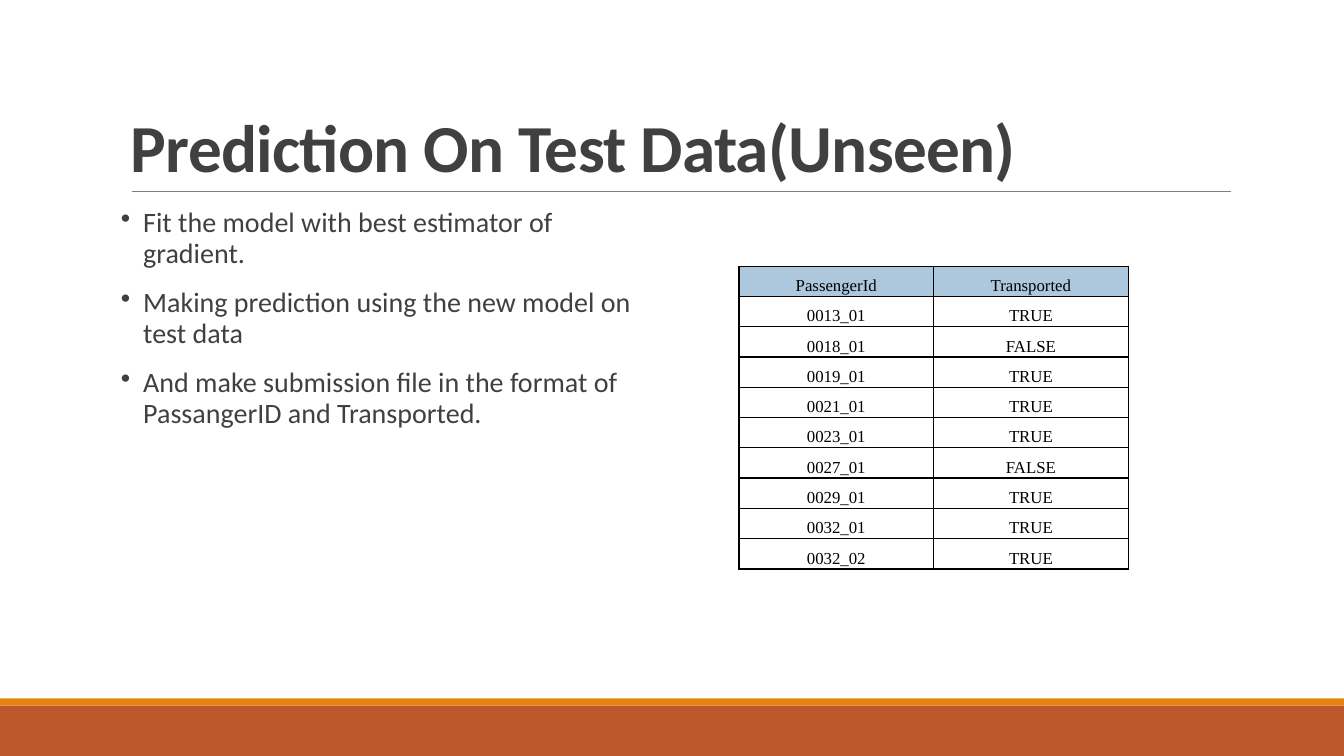
from lxml.etree import SubElement
from pptx import Presentation
from pptx.dml.color import RGBColor
from pptx.enum.shapes import MSO_CONNECTOR, MSO_SHAPE
from pptx.enum.text import MSO_ANCHOR, PP_ALIGN
from pptx.oxml.ns import qn
from pptx.util import Inches, Pt

COLORS = {
    "rust": "BD582C",
    "orange": "E48312",
    "rule": "808080",
    "text": "404040",
    "header": "ADC8DD",
    "white": "FFFFFF",
    "black": "000000",
}
STEPS = [
    "Fit the model with best estimator of gradient.",
    "Making prediction using the new model on test data",
    "And make submission file in the format of PassangerID and Transported.",
]
PREDICTIONS = [
    ("PassengerId", "Transported"),
    ("0013_01", "TRUE"),
    ("0018_01", "FALSE"),
    ("0019_01", "TRUE"),
    ("0021_01", "TRUE"),
    ("0023_01", "TRUE"),
    ("0027_01", "FALSE"),
    ("0029_01", "TRUE"),
    ("0032_01", "TRUE"),
    ("0032_02", "TRUE"),
]


def color(name):
    """Return the named colour."""
    return RGBColor.from_string(COLORS[name])


def style_font(font, face, size, tint):
    """Set face, size and colour of a font."""
    font.name = face
    font.size = Pt(size)
    font.color.rgb = color(tint)


def add_footer(slide, left, top, width, height):
    """Draw the rust band with an orange strip along its top."""
    strip = 0.07
    bands = [("rust", top + strip, height - strip), ("orange", top, strip)]
    for tint, band_top, band_height in bands:
        band = slide.shapes.add_shape(
            MSO_SHAPE.RECTANGLE, Inches(left), Inches(band_top),
            Inches(width), Inches(band_height))
        band.shadow.inherit = False
        band.fill.solid()
        band.fill.fore_color.rgb = color(tint)
        band.line.fill.background()


def add_title(slide, left, top, width, height):
    """Place the title at the bottom of its box, with a rule below."""
    bottom = Inches(top + height)
    rule = slide.shapes.add_connector(
        MSO_CONNECTOR.STRAIGHT, Inches(left + 0.11), bottom,
        Inches(left + width + 0.01), bottom)
    rule.line.color.rgb = color("rule")
    rule.line.width = Pt(0.5)
    SubElement(rule._element.spPr, qn("a:effectLst"))

    frame = slide.shapes.add_textbox(
        Inches(left), Inches(top), Inches(width), Inches(height)).text_frame
    frame.word_wrap = True
    frame.vertical_anchor = MSO_ANCHOR.BOTTOM
    title = frame.paragraphs[0]
    title.line_spacing = 0.85
    style_font(title.font, "Calibri", 48, "text")
    title.font.bold = True
    run = title.add_run()
    run.text = "Prediction On Test Data(Unseen)"
    run._r.get_or_add_rPr().set("spc", "-50")


def add_steps(slide, left, top, width, height):
    """Place the bulleted steps."""
    frame = slide.shapes.add_textbox(
        Inches(left), Inches(top), Inches(width), Inches(height)).text_frame
    frame.word_wrap = True
    frame.margin_left = frame.margin_right = 0
    for index, step in enumerate(STEPS):
        paragraph = frame.add_paragraph() if index else frame.paragraphs[0]
        paragraph.text = step
        paragraph.line_spacing = 0.9
        paragraph.space_before = Pt(12)
        paragraph.space_after = Pt(2)
        style_font(paragraph.font, "Calibri", 20, "text")
        properties = paragraph._p.get_or_add_pPr()
        properties.set("marL", str(Inches(0.22)))
        properties.set("indent", str(-Inches(0.22)))
        bullet = properties.makeelement(qn("a:buChar"), {"char": "•"})
        properties.insert_element_before(
            bullet, "a:tabLst", "a:defRPr", "a:extLst")


def add_borders(cell):
    """Give a cell thin black borders on all sides."""
    properties = cell._tc.get_or_add_tcPr()
    for position, side in enumerate(("a:lnL", "a:lnR", "a:lnT", "a:lnB")):
        border = properties.makeelement(qn(side), {"w": str(Pt(1))})
        fill = SubElement(border, qn("a:solidFill"))
        SubElement(fill, qn("a:srgbClr"), val=COLORS["black"])
        properties.insert(position, border)


def add_predictions(slide, left, top, width, height):
    """Place the table of predictions with equal rows and columns."""
    row_count, column_count = len(PREDICTIONS), len(PREDICTIONS[0])
    table = slide.shapes.add_table(
        row_count, column_count, Inches(left), Inches(top),
        Inches(width), Inches(height)).table
    for row_index, record in enumerate(PREDICTIONS):
        for column_index, value in enumerate(record):
            cell = table.cell(row_index, column_index)
            cell.text = value
            cell.vertical_anchor = MSO_ANCHOR.MIDDLE
            cell.margin_left = cell.margin_right = Inches(0.07)
            cell.margin_top = cell.margin_bottom = 0
            cell.fill.solid()
            cell.fill.fore_color.rgb = color("white" if row_index else "header")
            paragraph = cell.text_frame.paragraphs[0]
            paragraph.alignment = PP_ALIGN.CENTER
            paragraph.line_spacing = 1.5
            style_font(paragraph.font, "Times New Roman", 12, "black")
            paragraph.font.bold = False
            add_borders(cell)


def main():
    """Build the slide and save it."""
    presentation = Presentation()
    presentation.slide_width = Inches(13.33)
    presentation.slide_height = Inches(7.5)
    slide = presentation.slides.add_slide(presentation.slide_layouts[6])
    add_footer(slide, 0, 6.93, 13.33, 0.57)
    add_title(slide, 1.2, 0.31, 11, 1.59)
    add_steps(slide, 1.2, 2.02, 5.29, 3.91)
    add_predictions(slide, 7.33, 2.64, 3.86, 2.78)
    presentation.save("out.pptx")


if __name__ == "__main__":
    main()
